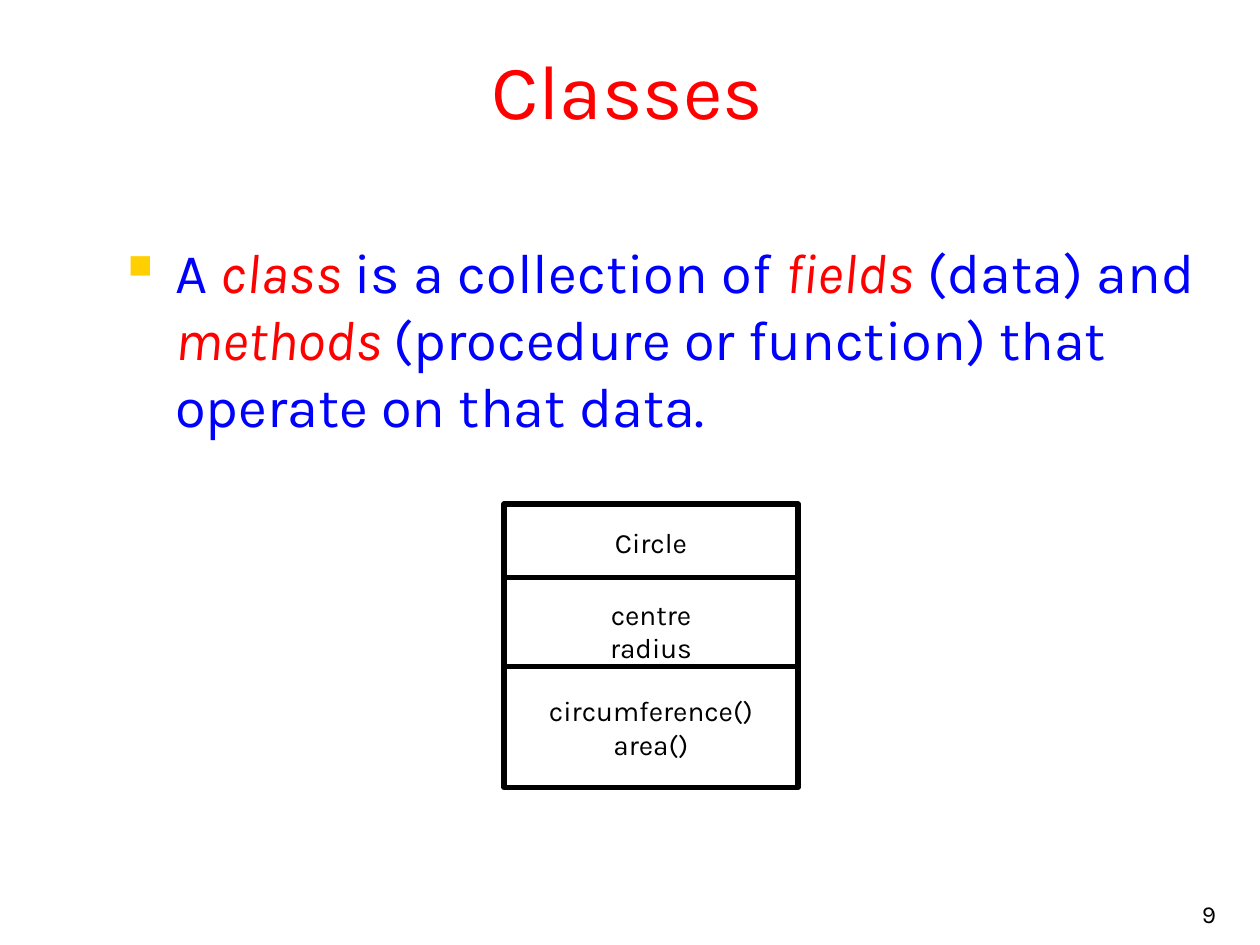
from lxml.etree import SubElement
from pptx import Presentation
from pptx.dml.color import RGBColor
from pptx.enum.shapes import MSO_SHAPE
from pptx.enum.text import MSO_ANCHOR, PP_ALIGN
from pptx.oxml.ns import qn
from pptx.util import Pt

BLACK = RGBColor(0, 0, 0)
WHITE = RGBColor(255, 255, 255)
RED = RGBColor(255, 0, 0)
BLUE = RGBColor(0, 0, 255)
GOLD = RGBColor(0xFF, 0xCF, 0x01)
FONT = "Karla"

TITLE = "Classes"
PAGE = "9"
DEFINITION = [
    ("A ", False),
    ("class ", True),
    ("is a collection of ", False),
    ("fields", True),
    (" (data) and ", False),
    ("methods ", True),
    ("(procedure or function) that operate on that data.", False),
]
CLASS_LEFT, CLASS_WIDTH = 288, 168
COMPARTMENTS = [
    (288, 44, "Circle"),
    (330, 61, "centre\nradius"),
    (381, 69, "circumference()\narea()"),
]


def style(r, size, color, italic=False):
    r.font.name = FONT
    r.font.size = Pt(size)
    r.font.color.rgb = color
    r.font.italic = italic


def write(sp, text, size, color, align, anchor, wrap=True):
    tf = sp.text_frame
    tf.text = text
    tf.word_wrap = wrap
    tf.vertical_anchor = anchor
    for p in tf.paragraphs:
        p.alignment = align
        for r in p.runs:
            style(r, size, color)


def add_bullet(p, char, color, percent, indent):
    pPr = p._p.get_or_add_pPr()
    pPr.set("marL", str(Pt(indent)))
    pPr.set("indent", str(-Pt(indent)))
    clr = SubElement(pPr, qn("a:buClr"))
    SubElement(clr, qn("a:srgbClr"), val=str(color))
    SubElement(pPr, qn("a:buSzPct"), val=str(percent * 1000))
    SubElement(pPr, qn("a:buChar"), char=char)


prs = Presentation()
prs.slide_width, prs.slide_height = Pt(720), Pt(540)
s = prs.slides.add_slide(prs.slide_layouts[6])

page = s.shapes.add_textbox(Pt(552), Pt(498), Pt(150), Pt(36))
write(page, PAGE, 14, BLACK, PP_ALIGN.RIGHT, MSO_ANCHOR.BOTTOM)

title = s.shapes.add_textbox(Pt(12), Pt(12), Pt(693), Pt(78))
title.fill.solid()
title.fill.fore_color.rgb = WHITE
write(title, TITLE, 44, RED, PP_ALIGN.CENTER, MSO_ANCHOR.MIDDLE)

body = s.shapes.add_textbox(Pt(66), Pt(132), Pt(636), Pt(351))
body.text_frame.word_wrap = True
p = body.text_frame.paragraphs[0]
p.space_before = Pt(8)
add_bullet(p, "■", GOLD, 60, 27)
for text, is_term in DEFINITION:
    r = p.add_run()
    r.text = text
    style(r, 32, RED if is_term else BLUE, is_term)

class_box = s.shapes.add_group_shape()
for top, height, text in COMPARTMENTS:
    sp = class_box.shapes.add_shape(
        MSO_SHAPE.RECTANGLE, Pt(CLASS_LEFT), Pt(top), Pt(CLASS_WIDTH), Pt(height))
    sp.shadow.inherit = False
    sp.fill.solid()
    sp.fill.fore_color.rgb = WHITE
    sp.line.color.rgb = BLACK
    sp.line.width = Pt(3)
    write(sp, text, 16, BLACK, PP_ALIGN.CENTER, MSO_ANCHOR.MIDDLE, wrap=False)

prs.save("out.pptx")
